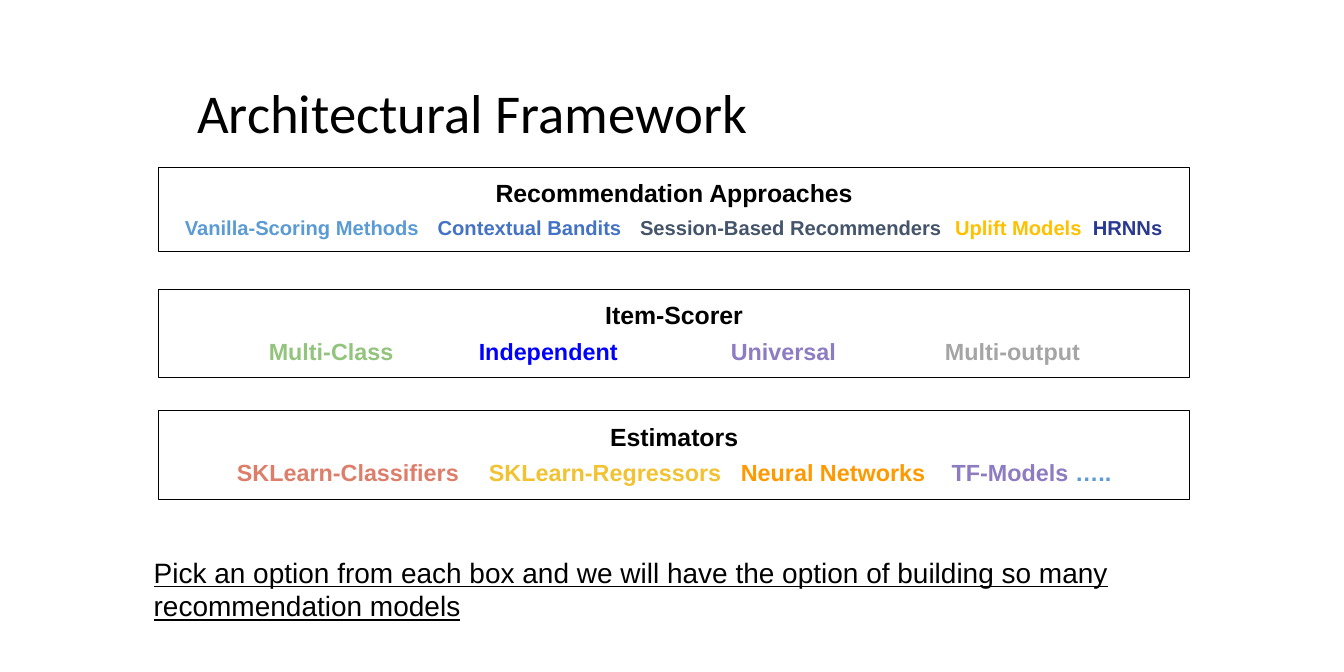
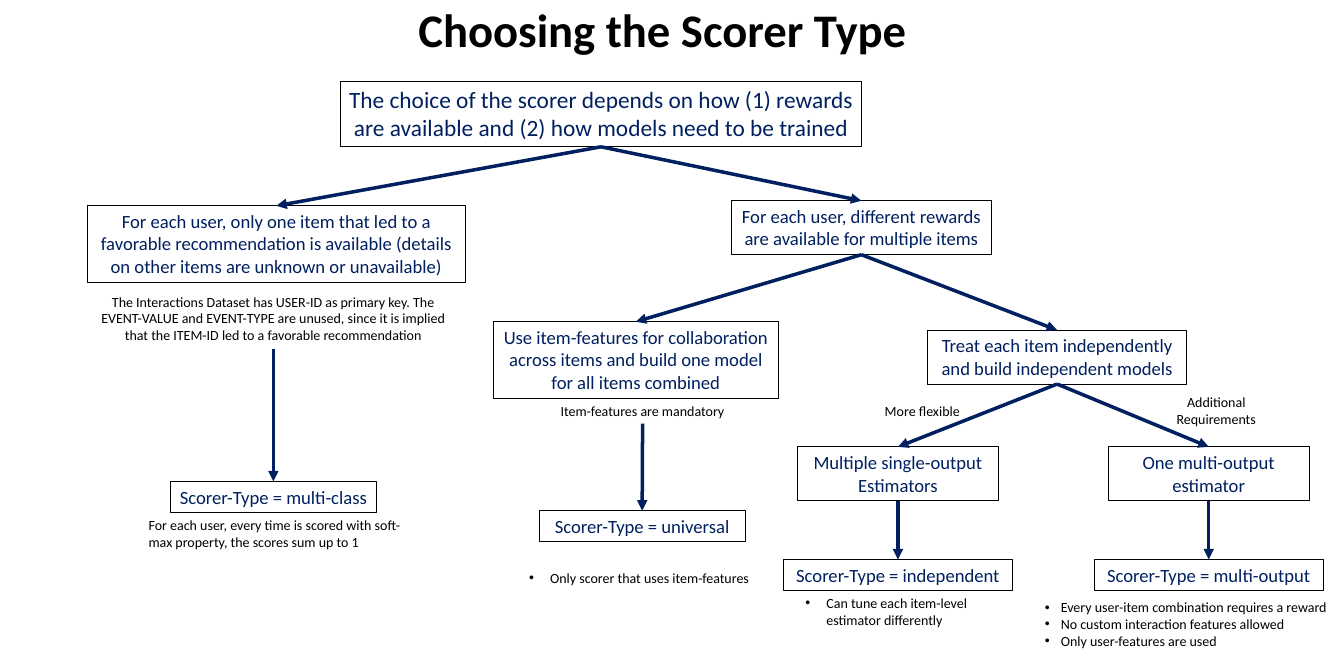
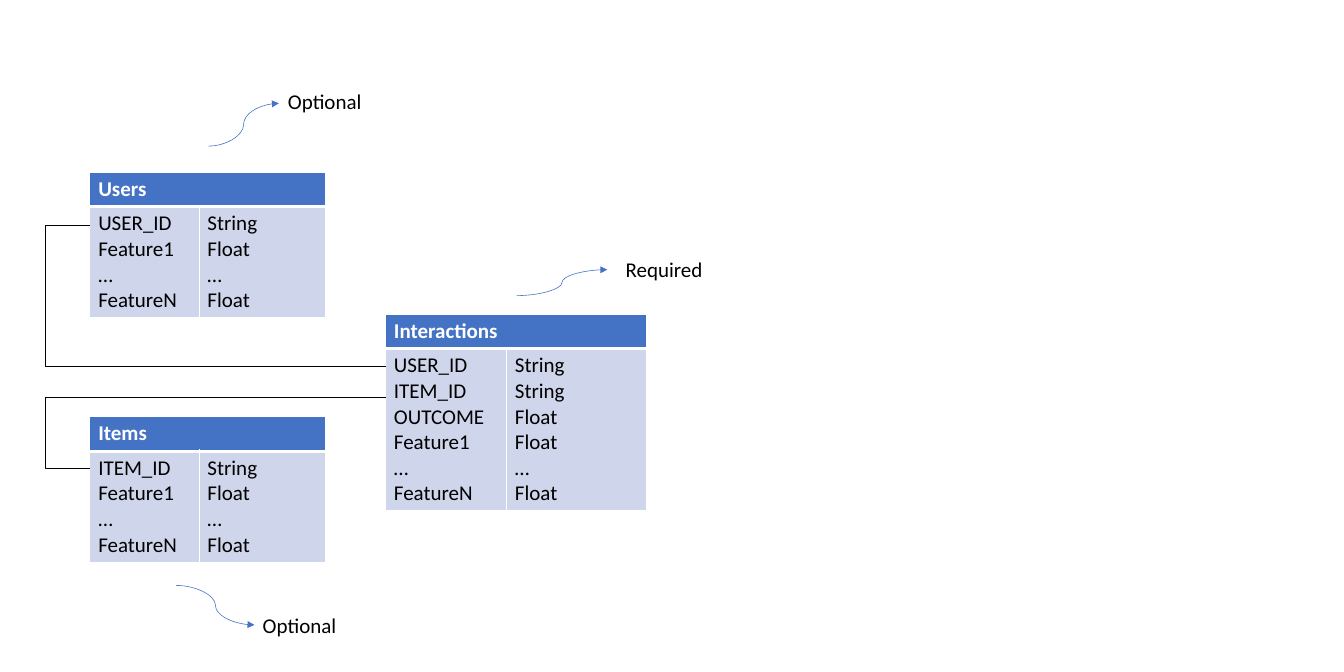
from dataclasses import dataclass

from lxml import etree
from pptx import Presentation
from pptx.dml.color import RGBColor
from pptx.enum.shapes import MSO_CONNECTOR, MSO_SHAPE
from pptx.enum.text import MSO_ANCHOR, PP_ALIGN
from pptx.oxml.ns import qn
from pptx.util import Inches, Pt

LEFT, CENTER = PP_ALIGN.LEFT, PP_ALIGN.CENTER
TOP, MIDDLE = MSO_ANCHOR.TOP, MSO_ANCHOR.MIDDLE
STRAIGHT, ELBOW, CURVE = MSO_CONNECTOR.STRAIGHT, MSO_CONNECTOR.ELBOW, MSO_CONNECTOR.CURVE
BOTTOM_SIDE, TOP_SIDE = 2, 0


@dataclass(frozen=True)
class Theme:
    body: str = "Calibri"
    display: str = "Arial"
    black: str = "000000"
    white: str = "FFFFFF"
    navy: str = "002060"
    blue: str = "4472C4"
    pale: str = "CFD5EA"
    outline: float = 0.75
    title_size: float = 46.9
    tree_title_size: float = 40
    heading_size: float = 21.3
    closing_size: float = 24
    table_size: float = 18
    note_size: float = 12
    line_height: float = 1.22


THEME = Theme()
SLIDE_WIDTH, SLIDE_HEIGHT = 16, 8

# Slide 1: heading, height, option size, options as (left edge, [(text, colour)])
FRAMEWORK_TITLE = "Architectural Framework"
FRAMEWORK = [
    ("Recommendation Approaches", 1.0, 17.3, [
        (2.2, [("Vanilla-Scoring Methods", "5B9BD5")]),
        (5.21, [("Contextual Bandits", "4472C4")]),
        (7.62, [("Session-Based Recommenders", "44546A")]),
        (11.37, [("Uplift Models", "FFC000")]),
        (13.01, [("HRNNs", "2A3990")])]),
    ("Item-Scorer", 1.05, 20, [
        (3.2, [("Multi-Class", "93C47D")]),
        (5.7, [("Independent", "0000FF")]),
        (8.7, [("Universal", "8E7CC3")]),
        (11.25, [("Multi-output", "A5A5A5")])]),
    ("Estimators", 1.05, 20, [
        (2.82, [("SKLearn-Classifiers", "DD7E6B")]),
        (5.82, [("SKLearn-Regressors", "F1C232")]),
        (8.82, [("Neural Networks", "FF9900")]),
        (11.33, [("TF-Models", "8E7CC3"), (" …..", "5B9BD5")])]),
]
FRAMEWORK_LEFT, FRAMEWORK_TOP, FRAMEWORK_WIDTH, FRAMEWORK_STEP = 1.89, 1.99, 12.27, 1.45
FRAMEWORK_INSET = 0.13
CLOSING = ("Pick an option from each box and we will have the option of "
           "building so many recommendation models")

# Slide 2: decisions as name: (left, top, width, lines, size, text)
TREE_TITLE = "Choosing the Scorer Type"
DECISIONS = {
    "root": (4.05, 0.97, 6.21, 2, 20, "The choice of the scorer depends on how (1) rewards are "
             "available and (2) how models need to be trained"),
    "one item": (1.04, 2.45, 4.5, 3, 16, "For each user, only one item that led to a favorable "
                 "recommendation is available (details on other items are unknown or unavailable)"),
    "many items": (8.71, 2.39, 3.09, 2, 16,
                   "For each user, different rewards are available for multiple items"),
    "combined": (5.87, 3.83, 3.4, 3, 16, "Use item-features for collaboration across items "
                 "and build one model for all items combined"),
    "separate": (11.04, 3.93, 3.09, 2, 16,
                 "Treat each item independently and build independent models"),
    "single output": (9.49, 5.32, 2.4, 2, 16, "Multiple single-output Estimators"),
    "multi output": (13.19, 5.32, 2.4, 2, 16, "One multi-output estimator"),
    "multi-class": (2.03, 5.73, 2.45, 1, 16, "Scorer-Type = multi-class"),
    "universal": (6.42, 6.08, 2.45, 1, 16, "Scorer-Type = universal"),
    "independent": (9.33, 6.66, 2.72, 1, 16, "Scorer-Type = independent"),
    "multi-output": (13.03, 6.66, 2.72, 1, 16, "Scorer-Type = multi-output"),
}
# Notes as name: (left, top, width, lines, alignment, bullet indent, paragraphs)
NOTES = {
    "dataset": (1.04, 3.44, 4.43, 3, CENTER, 0, [
        "The Interactions Dataset has USER-ID as primary key. The EVENT-VALUE and EVENT-TYPE "
        "are unused, since it is implied that the ITEM-ID led to a favorable recommendation"]),
    "mandatory": (6.4, 4.74, 2.5, 1, CENTER, 0, ["Item-features are mandatory"]),
    "flexible": (10.29, 4.74, 1.38, 1, CENTER, 0, ["More flexible"]),
    "requirements": (13.79, 4.64, 1.38, 2, CENTER, 0, ["Additional Requirements"]),
    "softmax": (1.67, 6.1, 3.25, 2, LEFT, 0, [
        "For each user, every time is scored with soft-max property, the scores sum up to 1"]),
    "features": (6.2, 6.73, 2.84, 1, LEFT, 0.25, ["Only scorer that uses item-features"]),
    "tuning": (9.49, 7.03, 2.5, 2, LEFT, 0.25,
               ["Can tune each item-level estimator differently"]),
    "limits": (12.34, 7.08, 3.66, 3, LEFT, 0.19, [
        "Every user-item combination requires a reward",
        "No custom interaction features allowed",
        "Only user-features are used"]),
}
BRANCHES = [
    ("root", "one item"), ("root", "many items"), ("dataset", "multi-class"),
    ("many items", "combined"), ("many items", "separate"), ("mandatory", "universal"),
    ("separate", "single output"), ("separate", "multi output"),
    ("single output", "independent"), ("multi output", "multi-output"),
]

# Slide 3: tables as (name, left, top, column widths, fields)
FEATURES = [("Feature1", "Float"), ("…", "…"), ("FeatureN", "Float")]
USER_KEY, ITEM_KEY = ("USER_ID", "String"), ("ITEM_ID", "String")
SCHEMAS = [
    ("Users", 1.07, 2.05, (1.3, 1.51), [USER_KEY] + FEATURES),
    ("Interactions", 4.59, 3.74, (1.44, 1.67),
     [USER_KEY, ITEM_KEY, ("OUTCOME", "Float")] + FEATURES),
    ("Items", 1.07, 4.96, (1.3, 1.51), [ITEM_KEY] + FEATURES),
]
HEADER_HEIGHT = 0.41
# Key links as (start, end, bend); labels as (text, left, top, arrow start, arrow end)
KEY_LINKS = [((1.07, 5.58), (4.59, 4.73), -0.15), ((1.07, 2.68), (4.59, 4.36), -0.15)]
LABELS = [
    ("Optional", 3.33, 1.01, (2.48, 1.74), (3.32, 1.23)),
    ("Required", 7.35, 3.01, (6.15, 3.52), (7.23, 3.21)),
    ("Optional", 3.03, 7.24, (2.1, 6.97), (3.03, 7.44)),
]


# Shared helpers
def rgb(code):
    return RGBColor.from_string(code)


def style(para, size, color=THEME.black, font=THEME.body, bold=False, underline=False):
    for span in para.runs:
        span.font.size = Pt(size)
        span.font.name = font
        span.font.bold = bold
        span.font.underline = underline
        span.font.color.rgb = rgb(color)


def text_height(lines, size):
    return 0.1 + lines * size * THEME.line_height / 72


def add_box(page, left, top, width, height, framed=False, anchor=TOP, inset=None):
    place = [Inches(value) for value in (left, top, width, height)]
    if framed:
        box = page.shapes.add_shape(MSO_SHAPE.RECTANGLE, *place)
        box.shadow.inherit = False
        box.fill.background()
        box.line.color.rgb = rgb(THEME.black)
        box.line.width = Pt(THEME.outline)
    else:
        box = page.shapes.add_textbox(*place)
    frame = box.text_frame
    frame.word_wrap = True
    frame.vertical_anchor = anchor
    if inset is not None:
        frame.margin_left = frame.margin_right = Inches(inset)
        frame.margin_top = frame.margin_bottom = Inches(inset)
    return box


def write(box, text, size, align=LEFT, **look):
    box.text_frame.text = text
    for para in box.text_frame.paragraphs:
        para.alignment = align
        style(para, size, **look)


def add_title(page, text, place, size, align=LEFT, bold=False):
    box = add_box(page, *place, anchor=MIDDLE)
    write(box, text, size, align, bold=bold)
    box.text_frame.paragraphs[0].line_spacing = 0.9


def add_bullet(para, indent):
    settings = para._p.get_or_add_pPr()
    settings.set("marL", str(Inches(indent)))
    settings.set("indent", str(-Inches(indent)))
    etree.SubElement(settings, qn("a:buFont")).set("typeface", THEME.display)
    etree.SubElement(settings, qn("a:buChar")).set("char", "•")


def add_tabs(para, stops):
    tabs = etree.SubElement(para._p.get_or_add_pPr(), qn("a:tabLst"))
    for stop in stops:
        tab = etree.SubElement(tabs, qn("a:tab"))
        tab.set("pos", str(Inches(stop)))
        tab.set("algn", "l")


def add_line(page, kind, start, end, color, width, arrow=True, bend=None):
    line = page.shapes.add_connector(kind, *[Inches(value) for value in (*start, *end)])
    line.line.color.rgb = rgb(color)
    line.line.width = Pt(width)
    properties = line.element.spPr
    if arrow:
        etree.SubElement(properties.find(qn("a:ln")), qn("a:tailEnd")).set("type", "triangle")
    if bend is not None:
        geometry = properties.find(qn("a:prstGeom"))
        for old in geometry.findall(qn("a:avLst")):
            geometry.remove(old)
        guide = etree.SubElement(etree.SubElement(geometry, qn("a:avLst")), qn("a:gd"))
        guide.set("name", "adj1")
        guide.set("fmla", f"val {round(bend * 100000)}")
    etree.SubElement(properties, qn("a:effectLst"))
    return line


def format_cell(cell, fill, widths):
    settings = cell._tc.get_or_add_tcPr()
    for side, width in zip("LRTB", widths):
        border = etree.SubElement(settings, qn(f"a:ln{side}"))
        border.set("w", str(Pt(width)))
        paint = etree.SubElement(border, qn("a:solidFill"))
        etree.SubElement(paint, qn("a:srgbClr")).set("val", THEME.white)
    cell.fill.solid()
    cell.fill.fore_color.rgb = rgb(fill)


def add_schema(page, name, left, top, widths, fields):
    body_height = text_height(len(fields), THEME.table_size)
    table = page.shapes.add_table(
        2, 2, Inches(left), Inches(top), Inches(sum(widths)),
        Inches(HEADER_HEIGHT + body_height)).table
    table.horz_banding = False
    for row, height in zip(table.rows, (HEADER_HEIGHT, body_height)):
        row.height = Inches(height)
    header = table.cell(0, 0)
    header.merge(table.cell(0, 1))
    header.text_frame.text = name
    style(header.text_frame.paragraphs[0], THEME.table_size, THEME.white, bold=True)
    for index, (width, entries) in enumerate(zip(widths, zip(*fields))):
        table.columns[index].width = Inches(width)
        format_cell(table.cell(0, index), THEME.blue, (1, 1, 1, 3))
        cell = table.cell(1, index)
        format_cell(cell, THEME.pale, (1, 1, 3, 1))
        cell.text_frame.text = "\n".join(entries)
        for para in cell.text_frame.paragraphs:
            style(para, THEME.table_size)


# Slides
def build_framework(page):
    add_title(page, FRAMEWORK_TITLE, (2.25, 0.65, 11.5, 1.45), THEME.title_size)
    for index, (heading, height, size, options) in enumerate(FRAMEWORK):
        box = add_box(page, FRAMEWORK_LEFT, FRAMEWORK_TOP + index * FRAMEWORK_STEP,
                      FRAMEWORK_WIDTH, height, framed=True, inset=FRAMEWORK_INSET)
        write(box, heading, THEME.heading_size, CENTER, font=THEME.display, bold=True)
        box.text_frame.paragraphs[0].space_after = Pt(6)
        para = box.text_frame.add_paragraph()
        para.alignment = LEFT
        add_tabs(para, [edge - FRAMEWORK_LEFT - FRAMEWORK_INSET for edge, _ in options])
        colors = []
        for _, parts in options:
            for position, (text, color) in enumerate(parts):
                para.add_run().text = text if position else "\t" + text
                colors.append(color)
        style(para, size, font=THEME.display, bold=True)
        for span, color in zip(para.runs, colors):
            span.font.color.rgb = rgb(color)
    closing = add_box(page, 1.7, 6.48, 12.63, 1.08, inset=FRAMEWORK_INSET)
    write(closing, CLOSING, THEME.closing_size, font=THEME.display, underline=True)


def build_tree(page):
    add_title(page, TREE_TITLE, (4.78, 0.09, 6.21, 0.58), THEME.tree_title_size,
              CENTER, bold=True)
    boxes = {}
    for name, (left, top, width, lines, size, text) in DECISIONS.items():
        boxes[name] = add_box(page, left, top, width, text_height(lines, size), framed=True)
        write(boxes[name], text, size, CENTER, color=THEME.navy)
    for name, (left, top, width, lines, align, indent, paragraphs) in NOTES.items():
        height = text_height(lines, THEME.note_size)
        boxes[name] = add_box(page, left, top, width, height)
        write(boxes[name], "\n".join(paragraphs), THEME.note_size, align)
        if indent:
            for para in boxes[name].text_frame.paragraphs:
                add_bullet(para, indent)
    for parent, child in BRANCHES:
        branch = add_line(page, STRAIGHT, (0, 0), (1, 1), THEME.navy, 3)
        branch.begin_connect(boxes[parent], BOTTOM_SIDE)
        branch.end_connect(boxes[child], TOP_SIDE)


def build_schemas(page):
    for schema in SCHEMAS:
        add_schema(page, *schema)
    for start, end, bend in KEY_LINKS:
        add_line(page, ELBOW, start, end, THEME.black, 1, arrow=False, bend=bend)
    for text, left, top, start, end in LABELS:
        label = add_box(page, left, top, 1.26, text_height(1, THEME.table_size))
        write(label, text, THEME.table_size)
        add_line(page, CURVE, start, end, THEME.blue, 0.5)


def main():
    deck = Presentation()
    deck.slide_width, deck.slide_height = Inches(SLIDE_WIDTH), Inches(SLIDE_HEIGHT)
    blank = deck.slide_layouts[6]
    for build in (build_framework, build_tree, build_schemas):
        build(deck.slides.add_slide(blank))
    deck.save("out.pptx")


if __name__ == "__main__":
    main()
